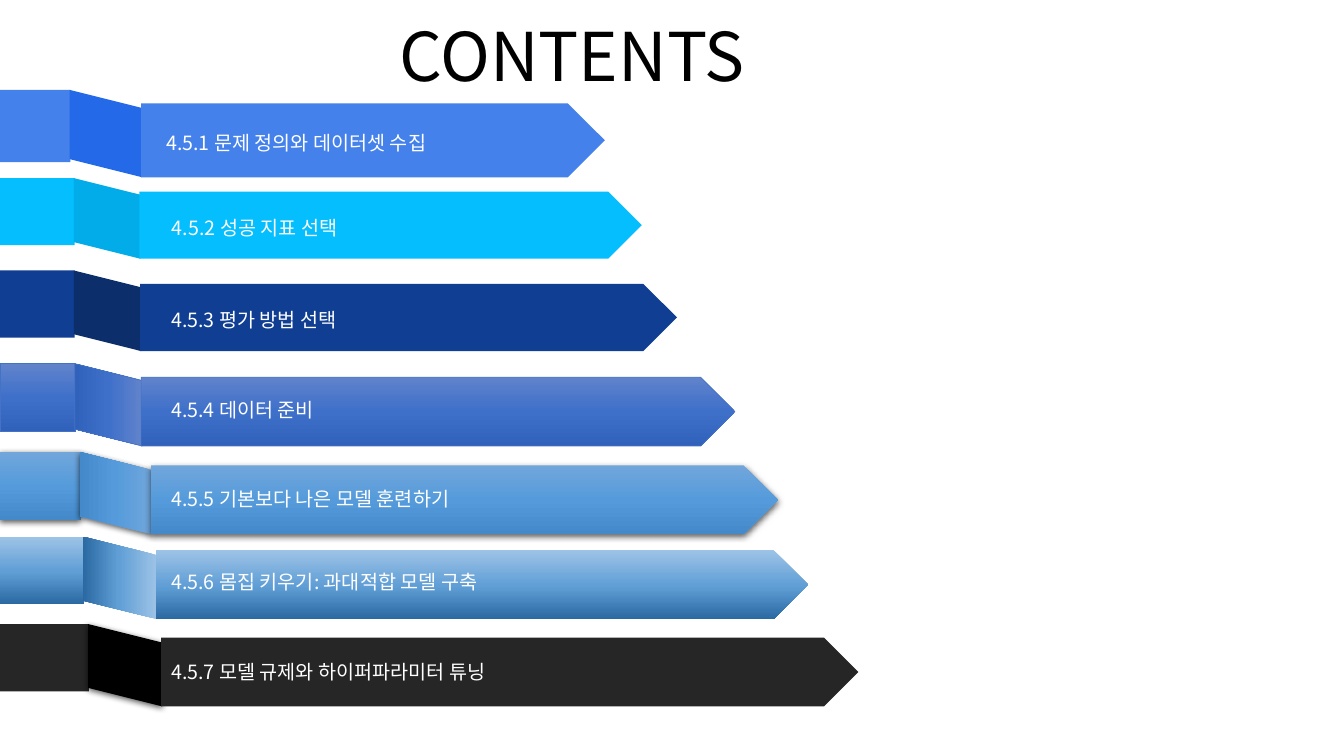
from dataclasses import dataclass

from lxml.etree import SubElement
from pptx import Presentation
from pptx.dml.color import RGBColor
from pptx.enum.shapes import MSO_SHAPE
from pptx.enum.text import MSO_ANCHOR, MSO_AUTO_SIZE, PP_ALIGN
from pptx.oxml.ns import qn
from pptx.shapes.autoshape import Shape
from pptx.slide import Slide
from pptx.text.text import TextFrame
from pptx.util import Inches, Pt

W, H = Inches(13.33), Inches(7.5)
COL, ROW = W / 16, H / 9
FONT = "Noto Sans CJK KR"
ARROW_DROP = 0.16
LABEL_H = 0.41
Stops = tuple[tuple[int, str], ...]


@dataclass(frozen=True)
class Ribbon:
    """A folded arrow: tab at the slide edge, fold, arrow and label, in grid units."""
    text: str
    top: float
    tab_w: float
    tab_h: float
    arrow_x: float
    arrow_right: float
    arrow_h: float
    label_x: float
    label_y: float
    label_w: float
    fill: str | Stops
    fold: str | Stops
    line: str = ""
    shadow: bool = False
    fold_shadow: bool = False


ROYAL = ((0, "6183CB"), (50, "3E70CA"), (100, "3062BB"))
AZURE = ((0, "71A6DB"), (50, "559BDB"), (100, "448ACA"))
STEEL = ((0, "9DC3E6"), (52, "609ED6"), (100, "2A69A2"))

RIBBONS = (
    Ribbon("4.5.1 문제 정의와 데이터셋 수집", 1.07, 0.84, 0.86, 1.68, 7.2, 0.88,
           1.86, 1.5, 3.66, "4481EB", "246AE8"),
    Ribbon("4.5.2 성공 지표 선택", 2.12, 0.89, 0.8, 1.66, 7.64, 0.8,
           1.93, 2.51, 3.53, "04BEFE", "01ACE9"),
    Ribbon("4.5.3 평가 방법 선택", 3.22, 0.89, 0.8, 1.67, 8.06, 0.8,
           1.92, 3.61, 4.06, "103E92", "0C2E6A"),
    Ribbon("4.5.4 데이터 준비", 4.33, 0.9, 0.81, 1.68, 8.75, 0.82,
           1.92, 4.68, 4.06, ROYAL, ROYAL, line="4472C4"),
    Ribbon("4.5.5 기본보다 나은 모델 훈련하기", 5.38, 0.96, 0.81, 1.8, 9.26, 0.82,
           1.92, 5.74, 4.06, AZURE, AZURE, shadow=True, fold_shadow=True),
    Ribbon("4.5.6 몸집 키우기: 과대적합 모델 구축", 6.39, 1.0, 0.8, 1.86, 9.62, 0.82,
           1.92, 6.73, 4.32, STEEL, STEEL),
    Ribbon("4.5.7 모델 규제와 하이퍼파라미터 튜닝", 7.43, 1.06, 0.8, 1.92, 10.22, 0.82,
           1.92, 7.8, 4.49, "262626", "000000", fold_shadow=True),
)


def rgb(color: str) -> RGBColor:
    """Turn a hex string into a colour."""
    return RGBColor.from_string(color)


def place(sp: Shape, x: float, y: float, w: float, h: float) -> None:
    """Set a shape's box from columns and rows."""
    sp.left, sp.top = round(x * COL), round(y * ROW)
    sp.width, sp.height = round(w * COL), round(h * ROW)


def write(tf: TextFrame, text: str, *, size: float, color: str,
          align: PP_ALIGN = PP_ALIGN.LEFT) -> None:
    """Put one formatted paragraph in a text frame."""
    tf.word_wrap = True
    tf.auto_size = MSO_AUTO_SIZE.NONE
    tf.vertical_anchor = MSO_ANCHOR.TOP
    p = tf.paragraphs[0]
    p.alignment = align
    r = p.add_run()
    r.text = text
    r.font.size, r.font.name = Pt(size), FONT
    r.font.color.rgb = rgb(color)
    SubElement(r.font._element, qn("a:ea"), typeface=FONT)


def paint(sp: Shape, fill: str | Stops) -> None:
    """Fill a shape with a plain colour or a top-to-bottom gradient."""
    if isinstance(fill, str):
        sp.fill.solid()
        sp.fill.fore_color.rgb = rgb(fill)
        return
    sp.fill.gradient()
    sp.fill.gradient_angle = 270
    stops = sp._element.spPr.find(qn("a:gradFill")).find(qn("a:gsLst"))
    for old in list(stops):
        stops.remove(old)
    for pos, color in fill:
        gs = SubElement(stops, qn("a:gs"), pos=str(pos * 1000))
        SubElement(gs, qn("a:srgbClr"), val=color)


def cast_shadow(sp: Shape) -> None:
    """Add a soft shadow below a shape."""
    effects = sp._element.spPr.find(qn("a:effectLst"))
    shadow = SubElement(effects, qn("a:outerShdw"), blurRad=str(Pt(4.5)),
                        dist=str(Pt(1.5)), dir="5400000", rotWithShape="0")
    color = SubElement(shadow, qn("a:srgbClr"), val="000000")
    SubElement(color, qn("a:alpha"), val="63000")


def add_part(s: Slide, kind: MSO_SHAPE, x: float, y: float, w: float, h: float, *,
             fill: str | Stops, line: str, shadow: bool) -> Shape:
    """Add one painted part of a ribbon."""
    sp = s.shapes.add_shape(kind, 0, 0, 0, 0)
    place(sp, x, y, w, h)
    sp.shadow.inherit = False
    paint(sp, fill)
    if line:
        sp.line.color.rgb = rgb(line)
        sp.line.width = Pt(0.5)
    else:
        sp.line.fill.background()
    if shadow:
        cast_shadow(sp)
    return sp


def add_ribbon(s: Slide, rb: Ribbon) -> None:
    """Draw a ribbon with its label."""
    arrow_y = rb.top + ARROW_DROP
    fold_w, fold_h = rb.arrow_x - rb.tab_w + 0.02, ARROW_DROP + rb.arrow_h
    mid_x, mid_y = (rb.tab_w + rb.arrow_x) / 2, rb.top + fold_h / 2
    add_part(s, MSO_SHAPE.RECTANGLE, 0, rb.top, rb.tab_w, rb.tab_h,
             fill=rb.fill, line=rb.line, shadow=rb.shadow)
    fold = add_part(s, MSO_SHAPE.PARALLELOGRAM, mid_x - fold_h / 2, mid_y - fold_w / 2,
                    fold_h, fold_w, fill=rb.fold, line=rb.line, shadow=rb.fold_shadow)
    fold.rotation = 90
    add_part(s, MSO_SHAPE.PENTAGON, rb.arrow_x, arrow_y, rb.arrow_right - rb.arrow_x,
             rb.arrow_h, fill=rb.fill, line=rb.line, shadow=rb.shadow)
    label = s.shapes.add_textbox(0, 0, 0, 0)
    place(label, rb.label_x, rb.label_y, rb.label_w, LABEL_H)
    write(label.text_frame, rb.text, size=14, color="FFFFFF")


def main() -> None:
    """Build and save the contents slide."""
    prs = Presentation()
    prs.slide_width, prs.slide_height = W, H
    s = prs.slides.add_slide(prs.slide_layouts[5])
    title = s.shapes.title
    place(title, 1.66, 0.11, 10.3, 1.09)
    write(title.text_frame, "CONTENTS", size=48, color="000000", align=PP_ALIGN.CENTER)
    for rb in RIBBONS:
        add_ribbon(s, rb)
    prs.save("out.pptx")


if __name__ == "__main__":
    main()
